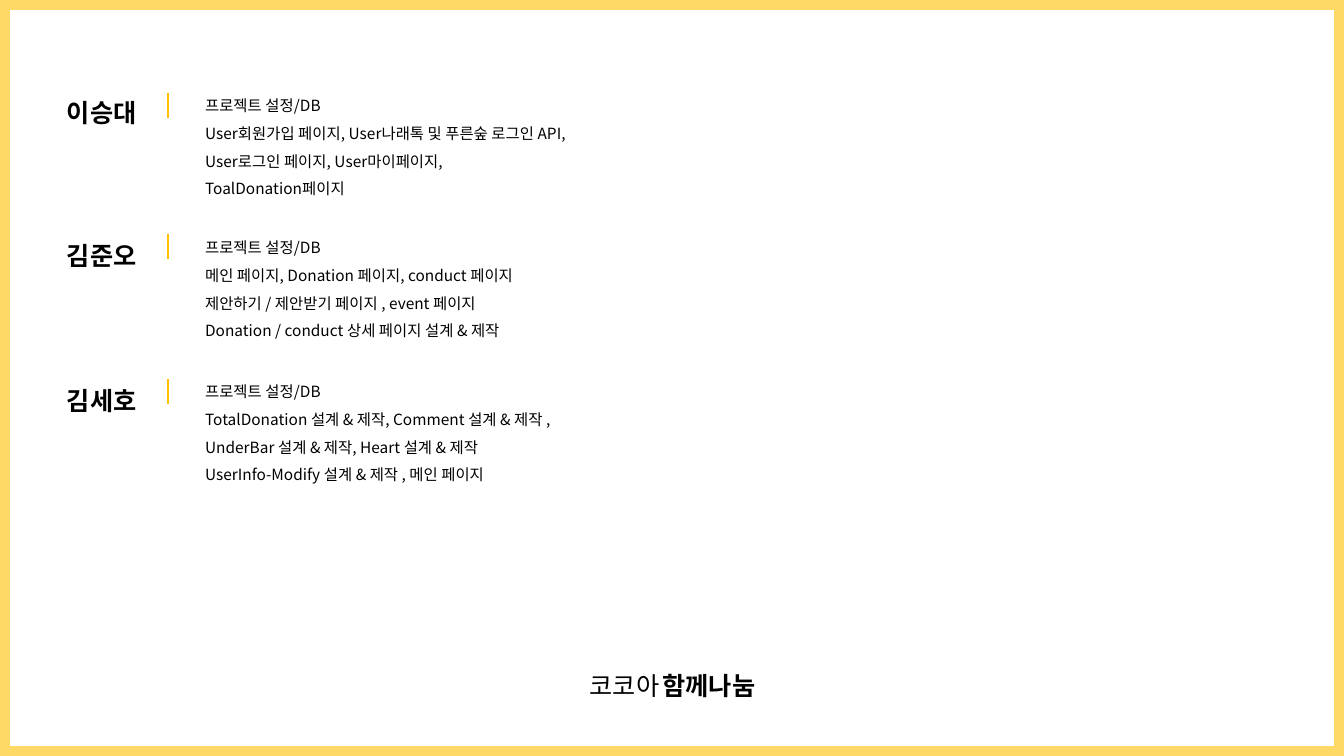
from lxml import etree
from pptx import Presentation
from pptx import util as u
from pptx.dml.color import RGBColor
from pptx.enum import shapes, text
from pptx.oxml import ns

SCALE = 914400 / 100.8  # EMU per px
WIDE, HIGH = 1344, 756
SANS = "Noto Sans CJK KR"
NAME = {"size": u.Pt(18), "bold": True, "name": SANS}
ITEM = {"size": u.Pt(11), "bold": False, "name": SANS}
LIGHT = {"size": u.Pt(18), "bold": False, "name": "Lato"}
SPACE = {"size": u.Pt(10.5), "bold": False, "name": "Lato"}
FRAME = {"word_wrap": True, "vertical_anchor": text.MSO_ANCHOR.TOP,
         "auto_size": text.MSO_AUTO_SIZE.SHAPE_TO_FIT_TEXT}

# name, tops of name, bar and list, list width, list lines
TEAM = [
    ("이승대", 77, 93, 82, 408, [
        "프로젝트 설정/DB",
        "User회원가입 페이지, User나래톡 및 푸른숲 로그인 API,",
        "User로그인 페이지, User마이페이지,",
        "ToalDonation페이지"]),
    ("김준오", 220, 234, 224, 417, [
        "프로젝트 설정/DB",
        "메인 페이지, Donation 페이지, conduct 페이지",
        "제안하기 / 제안받기 페이지 , event 페이지",
        "Donation / conduct 상세 페이지 설계 & 제작"]),
    ("김세호", 365, 379, 368, 408, [
        "프로젝트 설정/DB",
        "TotalDonation 설계 & 제작, Comment 설계 & 제작 ,",
        "UnderBar 설계 & 제작, Heart 설계 & 제작",
        "UserInfo-Modify 설계 & 제작 , 메인 페이지"]),
]


def px(n):
    return u.Emu(round(n * SCALE))


def paint(color, code):
    color.rgb = RGBColor.from_string(code)


def assign(thing, values):
    for key, value in values.items():
        setattr(thing, key, value)


def place(shape, left, top, width, height):
    assign(shape, {"left": px(left), "top": px(top),
                   "width": px(width), "height": px(height)})


def write(shape, lines, lead, align=text.PP_ALIGN.LEFT):
    """Fill a shape with lines, each a list of (words, format) runs."""
    frame = shape.text_frame
    assign(frame, FRAME)
    for i, line in enumerate(lines):
        para = frame.add_paragraph() if i else frame.paragraphs[0]
        assign(para, {"alignment": align, "line_spacing": lead,
                      "space_before": u.Pt(0)})
        # No bullet or indent
        props = para._p.get_or_add_pPr()
        assign_xml = {"marL": "0", "indent": "0"}
        for key, value in assign_xml.items():
            props.set(key, value)
        etree.SubElement(props, ns.qn("a:buNone"))
        for words, style in line:
            run = para.add_run()
            run.text = words
            assign(run.font, style)
            paint(run.font.color, "000000")
            east = etree.SubElement(run._r.get_or_add_rPr(), ns.qn("a:ea"))
            east.set("typeface", SANS)


def border(slide):
    rect = slide.shapes.add_shape(shapes.MSO_SHAPE.RECTANGLE,
                                  0, 0, px(WIDE), px(HIGH))
    rect.shadow.inherit = False
    rect.fill.solid()
    paint(rect.fill.fore_color, "FFFFFF")
    paint(rect.line.color, "FFD966")
    rect.line.width = u.Pt(14.5)
    slide.shapes._spTree.insert(2, rect._element)  # send to back


def label(slide, name, top):
    box = slide.shapes.add_textbox(px(57), px(top), px(273), px(50))
    write(box, [[(name, NAME)]], 1.5)


def bar(slide, top):
    line = slide.shapes.add_connector(shapes.MSO_CONNECTOR.STRAIGHT,
                                      px(168), px(top), px(168), px(top + 25))
    paint(line.line.color, "FFC000")
    line.line.width = u.Pt(2)
    etree.SubElement(line._element.spPr, ns.qn("a:effectLst"))


def main():
    deck = Presentation()
    assign(deck, {"slide_width": px(WIDE), "slide_height": px(HIGH)})
    slide = deck.slides.add_slide(deck.slide_layouts[4])
    title, *bodies = slide.placeholders
    border(slide)

    # Team members and their tasks
    for body, (name, top, mark, start, width, tasks) in zip(bodies, TEAM):
        label(slide, name, top)
        bar(slide, mark)
        place(body, 195, start, width, 119)
        write(body, [[(task, ITEM)] for task in tasks], 1.5)
    for spare in bodies[len(TEAM):]:
        spare._element.getparent().remove(spare._element)

    # Project title at the foot
    place(title, 571, 665, 203, 40)
    write(title, [[("코코아", LIGHT), (" ", SPACE),
                   ("함께나눔", {**LIGHT, "bold": True})]],
          1.0, text.PP_ALIGN.CENTER)
    deck.save("out.pptx")


if __name__ == "__main__":
    main()
